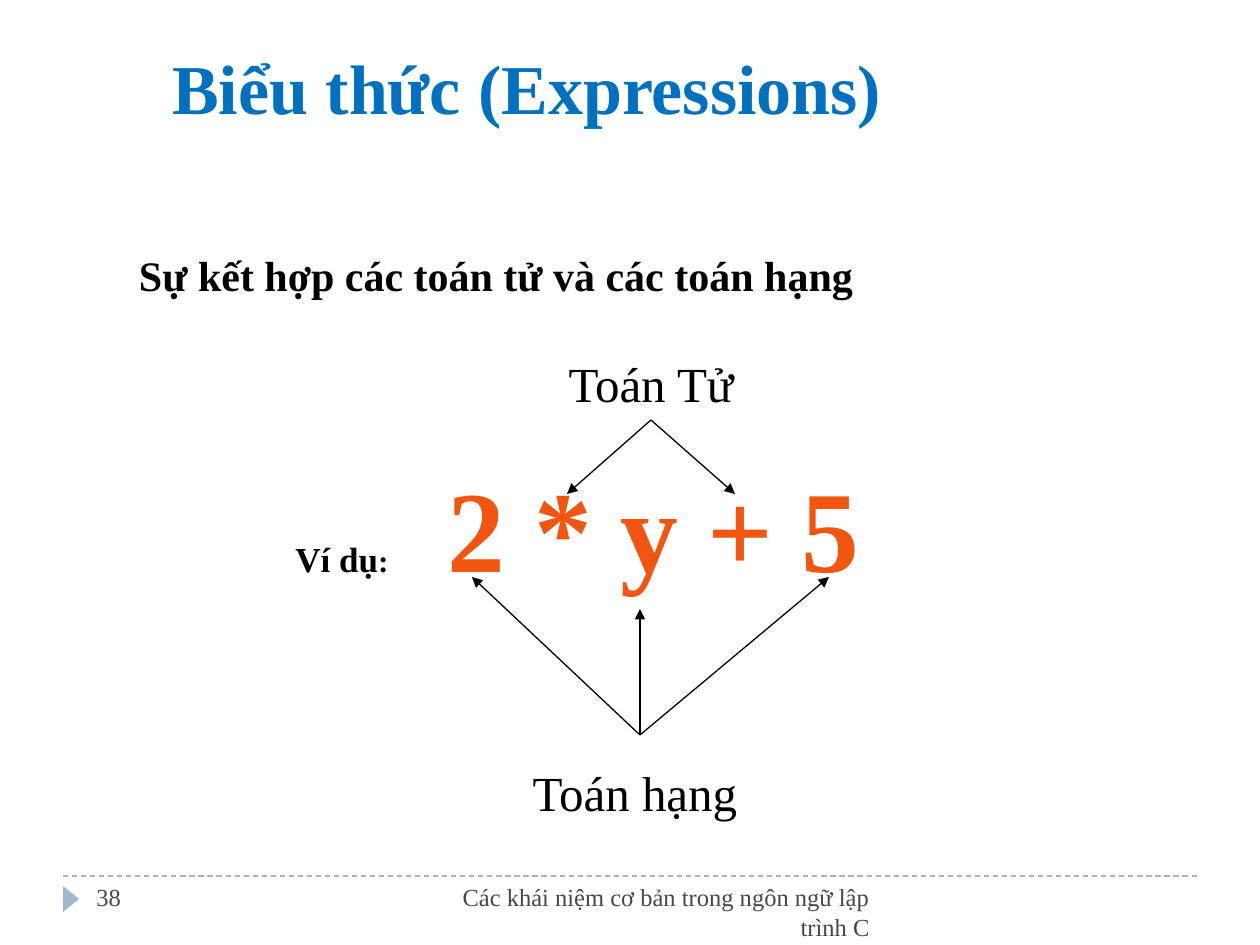
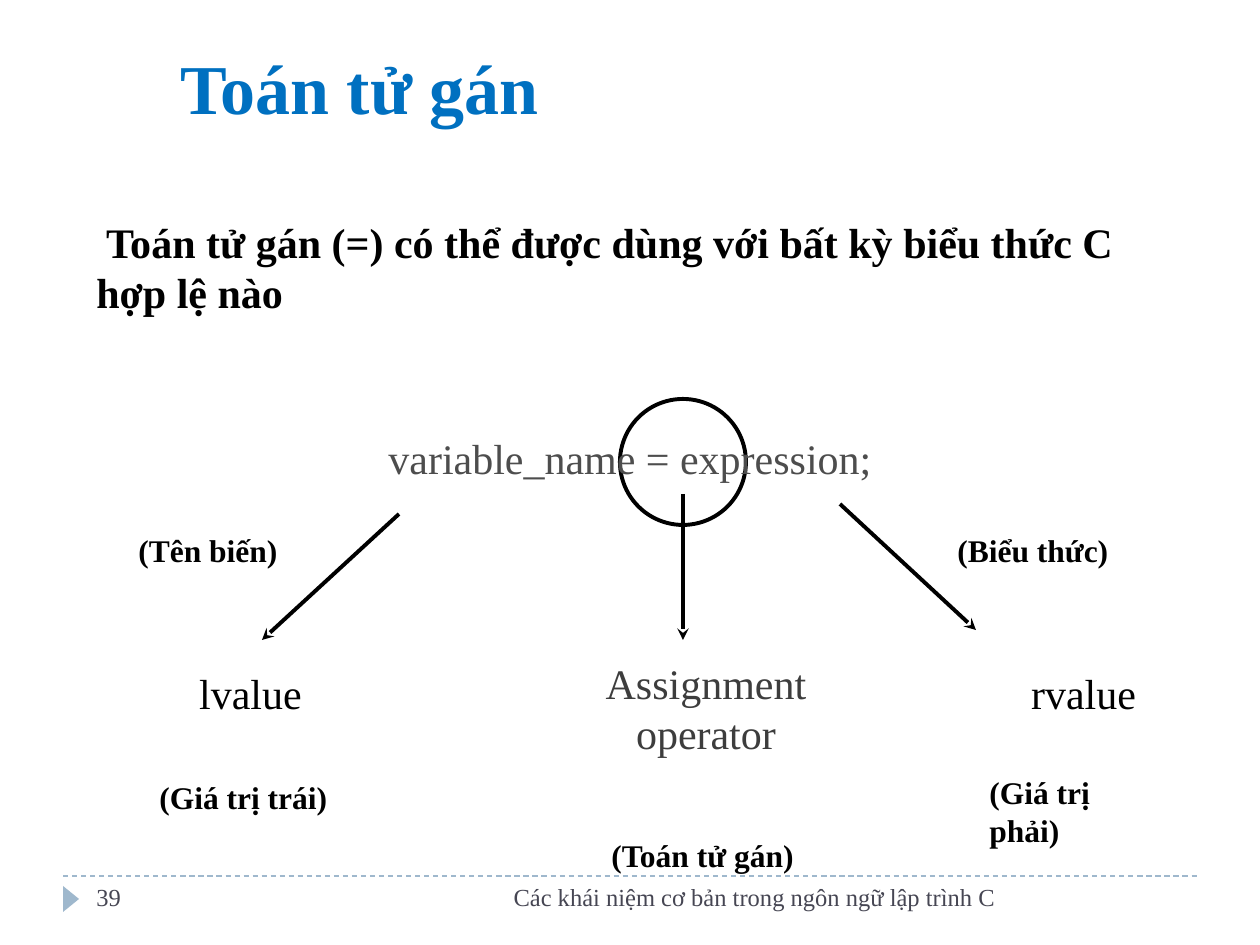
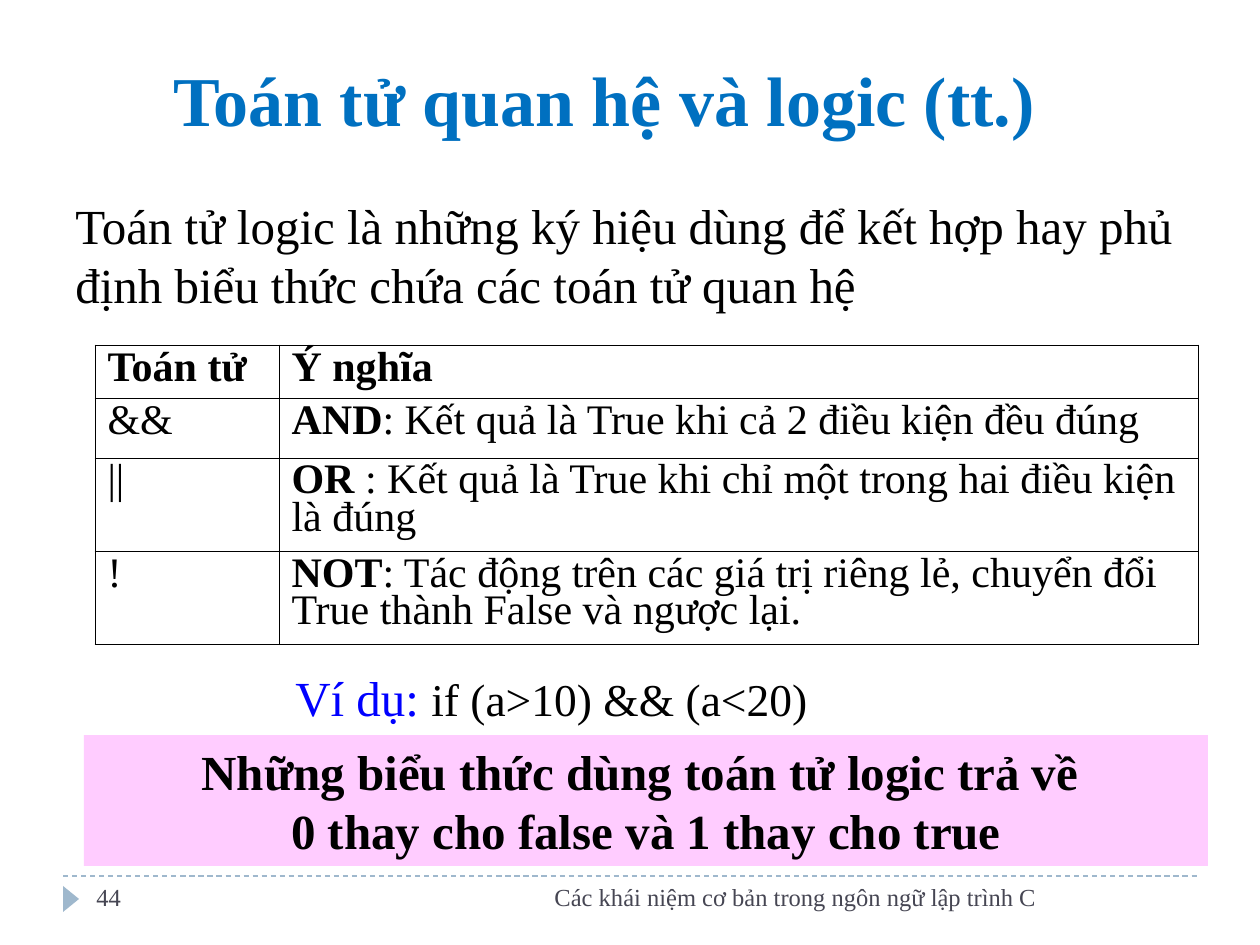
from pptx import Presentation
from pptx.dml.color import RGBColor
from pptx.enum.dml import MSO_LINE_DASH_STYLE as Dash
from pptx.enum.shapes import MSO_CONNECTOR as Connector, MSO_SHAPE as Shape
from pptx.enum.text import MSO_ANCHOR as Anchor, PP_ALIGN as Align
from pptx.oxml.ns import qn
from pptx.util import Emu, Pt
from lxml.etree import SubElement

SCALE = 914400 / 126
FONT = "Times New Roman"
BLACK, BLUE, ORANGE = "000000", "0070C0", "F1550F"
STEEL, SLATE, PINK = "9FB8CD", "464653", "FFCCFF"
FOOTER = "Các khái niệm cơ bản trong ngôn ngữ lập trình C"
rgb = RGBColor.from_string


def px(*lengths):
    return [Emu(round(length * SCALE)) for length in lengths]


def write(frame, text, size=24, color=BLACK, bold=False, align=Align.LEFT,
          anchor=Anchor.TOP, wrap=True):
    """Add text to the last paragraph of a frame."""
    frame.word_wrap = wrap
    frame.vertical_anchor = anchor
    para = frame.paragraphs[-1]
    para.alignment = align
    for index, line in enumerate(text.split("\n")):
        if index:
            para.add_line_break()
        span = para.add_run()
        span.text = line
        span.font.name = FONT
        span.font.size = Pt(size)
        span.font.bold = bold
        span.font.color.rgb = rgb(color)


deck = Presentation()
deck.slide_width, deck.slide_height = px(1260, 945)

# Number, title, title place, footer width, arrow style and arrows of each slide
outlines = [
    (38, "Biểu thức (Expressions)", (160, 21, 953, 114), 483, "triangle", 0.75,
     [(651, 420, 567, 494), (651, 420, 735, 494),
      (640, 735, 472, 577), (640, 735, 829, 577), (640, 735, 640, 609)]),
    (39, "Toán tử gán", (168, 21, 976, 114), 609, "stealth", 2.25,
     [(399, 514, 262, 640), (840, 504, 976, 630), (683, 494, 683, 640)]),
    (44, "Toán tử quan hệ và logic (tt.)", (161, 42, 1067, 105), 650, None, 0, []),
]
pages, arrows = [], []

for number, title, place, footer_width, head, weight, paths in outlines:
    page = deck.slides.add_slide(deck.slide_layouts[6])
    pages.append(page)

    # Dashed rule above the footer, then the arrows
    rule = (63, 876, 1197, 876)
    for ends in [rule] + paths:
        line = page.shapes.add_connector(Connector.STRAIGHT, *px(*ends))
        SubElement(line._element.spPr, qn("a:effectLst"))
        if ends == rule:
            line.line.color.rgb = rgb(STEEL)
            line.line.width = Pt(0.75)
            line.line.dash_style = Dash.DASH
        else:
            line.line.color.rgb = rgb(BLACK)
            line.line.width = Pt(weight)
            SubElement(line.line._get_or_add_ln(), qn("a:tailEnd"), type=head)
            arrows.append(line)

    # Footer marker, page number, footer text and title
    marker = page.shapes.add_shape(Shape.ISOSCELES_TRIANGLE, *px(58, 891, 26, 16))
    marker.rotation = 90
    marker.shadow.inherit = False
    marker.fill.solid()
    marker.fill.fore_color.rgb = rgb(STEEL)
    marker.line.fill.background()
    for spot, text, style in [
        ((84, 876, 273, 50), str(number), dict(size=14, color=SLATE)),
        ((399, 876, footer_width, 50), FOOTER,
         dict(size=14, color=SLATE, align=Align.RIGHT)),
        (place, title, dict(size=40, color=BLUE, bold=True, anchor=Anchor.BOTTOM)),
    ]:
        write(page.shapes.add_textbox(*px(*spot)).text_frame, text, **style)

expression_page, assignment_page, logic_page = pages

# Slide 1: operators and operands
intro = expression_page.shapes.add_textbox(*px(53, 243, 1176, 63)).text_frame
intro.margin_left = px(86)[0]
write(intro, "Sự kết hợp các toán tử và các toán hạng", bold=True)

operator_label = expression_page.shapes.add_textbox(*px(536, 347, 230, 73))
write(operator_label.text_frame, "Toán Tử", size=28, align=Align.CENTER)
for arrow in arrows[:2]:
    arrow.begin_connect(operator_label, 2)

operand_label = expression_page.shapes.add_textbox(*px(494, 756, 294, 72))
write(operand_label.text_frame, "Toán hạng ", size=28, align=Align.CENTER)

example = expression_page.shapes.add_textbox(*px(283, 451, 725, 151)).text_frame
write(example, "Ví dụ", size=20, bold=True)
write(example, ":\t", size=18, bold=True)
write(example, "2 * y + 5", size=66, color=ORANGE, bold=True)
tabs = SubElement(example.paragraphs[0]._p.get_or_add_pPr(), qn("a:tabLst"))
SubElement(tabs, qn("a:tab"), pos=str(px(152)[0]), algn="l")

# Slide 2: assignment operator
statement = assignment_page.shapes.add_textbox(*px(84, 210, 1103, 113)).text_frame
write(statement, " Toán tử gán (=) có thể được dùng với bất kỳ biểu thức C hợp lệ nào",
      bold=True)

ring = assignment_page.shapes.add_shape(Shape.OVAL, *px(620, 399, 126, 126))
ring.shadow.inherit = False
ring.fill.background()
ring.line.color.rgb = rgb(BLACK)
ring.line.width = Pt(2.25)

for spot, text, color in [
    ((141, 426, 978, 89), "variable_name = expression;", "4D4D4D"),
    ((147, 661, 207, 89), "lvalue", BLACK),
    ((980, 661, 207, 89), "rvalue", BLACK),
    ((504, 651, 404, 179), "Assignment\noperator", "3D3D3D"),
]:
    write(assignment_page.shapes.add_textbox(*px(*spot)).text_frame, text,
          color=color, align=Align.CENTER, wrap=False)

for spot, text, align in [
    ((147, 772, 193, 50), "(Giá trị trái)", Align.LEFT),
    ((977, 767, 203, 50), "(Giá trị phải)", Align.LEFT),
    ((599, 830, 210, 50), "(Toán tử gán)", Align.LEFT),
    ((126, 525, 164, 50), "(Tên biến)", Align.RIGHT),
    ((945, 525, 176, 50), "(Biểu thức)", Align.LEFT),
]:
    write(assignment_page.shapes.add_textbox(*px(*spot)).text_frame, text,
          size=18, bold=True, align=align, wrap=False)

# Slide 3: logical operators
definition = logic_page.shapes.add_textbox(*px(63, 189, 1144, 131)).text_frame
write(definition, "Toán tử logic là những ký hiệu dùng để kết hợp hay phủ định "
      "biểu thức chứa các toán tử quan hệ", size=28)

# Each cell holds a bold part and a plain part
rows = [
    (53, ("Toán tử", ""), ("Ý nghĩa", "")),
    (60, ("", "&&"), ("AND", ": Kết quả là True khi cả 2 điều kiện đều đúng")),
    (93, ("", "||"),
     ("OR", " : Kết quả là True khi chỉ một trong hai điều kiện là đúng")),
    (93, ("", "!"),
     ("NOT", ": Tác động trên các giá trị riêng lẻ, chuyển đổi True thành False "
      "và ngược lại.")),
]
table = logic_page.shapes.add_table(len(rows), 2, *px(95, 345, 1103, 299)).table
table.first_row = table.horz_banding = False
for column, width in zip(table.columns, px(184, 919)):
    column.width = width
for row, (height, *cells) in zip(table.rows, rows):
    row.height = px(height)[0]
    for cell, parts in zip(row.cells, cells):
        for part, bold in zip(parts, (True, False)):
            if part:
                write(cell.text_frame, part, bold=bold)
        cell.text_frame.paragraphs[0].line_spacing = 0.8
        properties = cell._tc.get_or_add_tcPr()
        for side in ("lnL", "lnR", "lnT", "lnB"):
            border = SubElement(properties, qn(f"a:{side}"), w=str(Pt(0.45)))
            paint = SubElement(border, qn("a:solidFill"))
            SubElement(paint, qn("a:srgbClr"), val=BLACK)
        cell.fill.background()

condition = logic_page.shapes.add_textbox(*px(283, 661, 641, 72)).text_frame
write(condition, "Ví dụ: ", size=28, color="0000FF")
write(condition, "if (a>10) && (a<20)", size=26)

banner = logic_page.shapes.add_shape(Shape.RECTANGLE, *px(84, 735, 1124, 131))
banner.shadow.inherit = False
banner.fill.solid()
banner.fill.fore_color.rgb = rgb(PINK)
banner.line.fill.background()
write(banner.text_frame, "Những biểu thức dùng toán tử logic trả về \n"
      "0 thay cho false và 1 thay cho true", size=28, bold=True, align=Align.CENTER)

deck.save("out.pptx")
